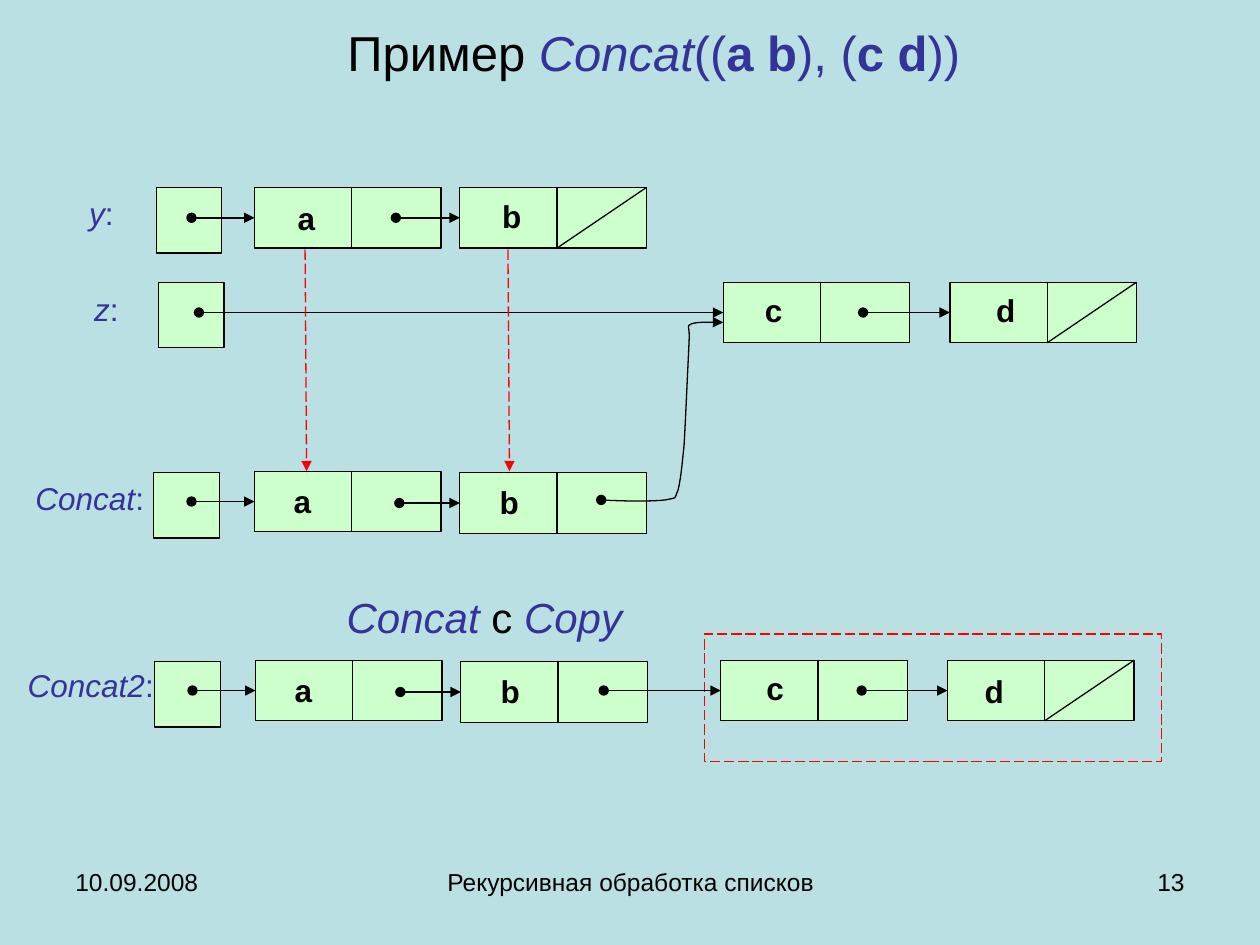
"""Builds the slide that explains Concat on linked lists."""
from lxml import etree
from pptx import Presentation
from pptx import util as u
from pptx.dml.color import RGBColor
from pptx.enum import dml, shapes, text
from pptx.oxml import ns

COLORS = {"sky": "BBE0E3", "mint": "CCFFCC", "indigo": "333399",
          "black": "000000", "red": "FF0000"}
FONT = "Arial"
BOX_SIDE = 1.32
CELL_WIDTH, CELL_HEIGHT, DIVIDER = 3.76, 1.22, 1.96
LEFT, CENTER, RIGHT = text.PP_ALIGN.LEFT, text.PP_ALIGN.CENTER, text.PP_ALIGN.RIGHT


def color(name):
    """Return a palette colour."""
    return RGBColor.from_string(COLORS[name])


def style_line(shape, name="black", width=0.75, dashed=False, head=None, tail=None):
    """Set colour, width, dash and arrowheads of an outline."""
    shape.line.color.rgb = color(name)
    shape.line.width = u.Pt(width)
    if dashed:
        shape.line.dash_style = dml.MSO_LINE.LONG_DASH
    for tag, kind in (("a:headEnd", head), ("a:tailEnd", tail)):
        if kind:
            etree.SubElement(shape.get_or_add_ln(), ns.qn(tag), type=kind)


def add_line(slide, start, end, **style):
    """Draw a straight line without a shadow."""
    line = slide.shapes.add_connector(
        shapes.MSO_CONNECTOR.STRAIGHT, *(u.Cm(v) for v in (*start, *end)))
    style_line(line, **style)
    etree.SubElement(line.element.spPr, ns.qn("a:effectLst"))
    return line


def add_rect(slide, x, y, width, height, fill="mint", **style):
    """Draw a filled rectangle."""
    rect = slide.shapes.add_shape(
        shapes.MSO_SHAPE.RECTANGLE, *(u.Cm(v) for v in (x, y, width, height)))
    rect.shadow.inherit = False
    rect.fill.solid()
    rect.fill.fore_color.rgb = color(fill)
    style_line(rect, **style)
    return rect


def fill_paragraph(paragraph, parts, size, align=CENTER):
    """Write (wording, colour, style letters) parts as runs."""
    paragraph.alignment = align
    for wording, name, style in parts:
        run = paragraph.add_run()
        run.text = wording
        run.font.name = FONT
        run.font.size = u.Pt(size)
        run.font.color.rgb = color(name)
        run.font.bold = "b" in style
        run.font.italic = "i" in style


def add_text(slide, x, y, width, height, parts, size=18, align=CENTER, tight=False):
    """Place a text box with one paragraph."""
    frame = slide.shapes.add_textbox(*(u.Cm(v) for v in (x, y, width, height))).text_frame
    frame.word_wrap = True
    if tight:
        frame.margin_left = frame.margin_right = u.Cm(0.05)
        frame.margin_top = frame.margin_bottom = u.Cm(0.03)
    fill_paragraph(frame.paragraphs[0], parts, size, align)


def add_label(slide, name, x, y, width, tight=False):
    """Name a list variable."""
    add_text(slide, x, y, width, 0.81 if tight else 1.02,
             [(name, "indigo", "i"), (":", "indigo", "")], tight=tight)


def add_cell(slide, x, y, letter, letter_x, letter_y, last=False):
    """Draw a list cell with its letter, crossed out when it is the last one."""
    cell = add_rect(slide, x, y, CELL_WIDTH, CELL_HEIGHT)
    middle = x + DIVIDER
    add_line(slide, (middle, y), (middle, y + CELL_HEIGHT))
    if last:
        add_line(slide, (x + CELL_WIDTH, y), (middle, y + CELL_HEIGHT))
    add_text(slide, x + letter_x, y + letter_y, 0.51, 0.81,
             [(letter, "black", "b")], tight=True)
    return cell


def add_pointer(slide, start_x, target):
    """Draw an arrow to the middle of the left side of a cell."""
    y = u.Emu(target.top + target.height // 2).cm
    arrow = add_line(slide, (start_x, y), (u.Emu(target.left).cm, y),
                     width=1, head="oval", tail="triangle")
    arrow.end_connect(target, 1)


def add_copied_pair(slide, x, y):
    """Draw a head box with the copied cells a and b."""
    add_rect(slide, x, y + 0.03, BOX_SIDE, BOX_SIDE)
    first = add_cell(slide, x + 2.03, y, "a", 0.71, 0.18)
    second = add_cell(slide, x + 6.17, y + 0.03, "b", 0.74, 0.17)
    add_pointer(slide, x + 0.76, first)
    add_pointer(slide, x + 4.95, second)


def add_curve(slide, start, segments, steps=8):
    """Draw an arrow along cubic curves."""
    points, origin = [], start
    for control_1, control_2, end in segments:
        for step in range(1, steps + 1):
            t = step / steps
            weights = ((1 - t) ** 3, 3 * t * (1 - t) ** 2, 3 * t ** 2 * (1 - t), t ** 3)
            corners = (origin, control_1, control_2, end)
            points.append(tuple(
                u.Cm(sum(w * p[axis] for w, p in zip(weights, corners)))
                for axis in (0, 1)))
        origin = end
    builder = slide.shapes.build_freeform(u.Cm(start[0]), u.Cm(start[1]))
    builder.add_line_segments(points, close=False)
    curve = builder.convert_to_shape()
    curve.shadow.inherit = False
    curve.fill.background()
    style_line(curve, head="oval", tail="triangle")


def add_title(slide):
    """Fill the title placeholder."""
    title = slide.shapes.title
    title.left, title.top, title.width, title.height = (
        u.Cm(v) for v in (1.75, 0.56, 22.86, 1.3))
    frame = title.text_frame
    frame.vertical_anchor = text.MSO_ANCHOR.TOP
    frame.auto_size = text.MSO_AUTO_SIZE.NONE
    frame.paragraphs[0].line_spacing = 0.8
    fill_paragraph(frame.paragraphs[0], [
        ("Пример ", "black", ""), ("Concat", "indigo", "i"), ("((", "indigo", ""),
        ("a b", "indigo", "b"), ("), (", "indigo", ""), ("c d", "indigo", "b"),
        ("))", "indigo", "")], 28)


def add_sources(slide):
    """Draw the lists y and z."""
    add_label(slide, "y", 1.22, 3.78, 1.65)
    add_rect(slide, 3.15, 3.78, BOX_SIDE, BOX_SIDE)
    add_pointer(slide, 3.86, add_cell(slide, 5.13, 3.78, "a", 0.79, 0.21))
    add_pointer(slide, 7.98, add_cell(slide, 9.27, 3.78, "b", 0.79, 0.16, last=True))
    add_label(slide, "z", 1.32, 5.72, 1.65)
    add_rect(slide, 3.2, 5.69, BOX_SIDE, BOX_SIDE)
    add_pointer(slide, 4.01, add_cell(slide, 14.58, 5.69, "c", 0.76, 0.15))
    add_pointer(slide, 17.4, add_cell(slide, 19.15, 5.69, "d", 0.87, 0.15, last=True))


def add_concat(slide):
    """Draw the result that shares the cells of z."""
    add_label(slide, "Concat", 0.36, 9.53, 2.9)
    add_copied_pair(slide, 3.1, 9.5)
    add_curve(slide, (12.12, 10.08), [
        ((12.65, 10.11), (13.16, 10.11), (13.41, 10.08)),
        ((13.67, 10.03), (13.59, 10.06), (13.67, 9.88)),
        ((13.72, 9.68), (13.74, 9.47), (13.79, 8.99)),
        ((13.82, 8.51), (13.87, 7.34), (13.89, 6.93)),
        ((13.92, 6.53), (13.82, 6.6), (13.94, 6.53)),
        ((14.05, 6.48), (14.48, 6.5), (14.58, 6.5))])
    for x in (6.15, 10.24):
        add_line(slide, (x, 5.03), (x + 0.03, 9.5), name="red", dashed=True, tail="triangle")


def add_concat_copy(slide):
    """Draw the result with every cell copied."""
    add_text(slide, 1.27, 11.79, 16.99, 1.27, [
        ("Concat ", "indigo", "i"), ("с ", "black", ""), ("Copy", "indigo", "i")], 24)
    add_label(slide, "Concat2", 0.38, 13.39, 2.9, tight=True)
    add_copied_pair(slide, 3.12, 13.31)
    add_pointer(slide, 12.17, add_cell(slide, 14.53, 13.31, "c", 0.84, 0.15))
    add_pointer(slide, 17.37, add_cell(slide, 19.1, 13.31, "d", 0.69, 0.2, last=True))


def add_footer(slide):
    """Write date, subject and slide number."""
    for x, width, wording, align in (
            (1.27, 5.92, "10.09.2008", LEFT),
            (8.69, 8.05, "Рекурсивная обработка списков", CENTER),
            (18.21, 5.92, "13", RIGHT)):
        add_text(slide, x, 17.35, width, 1.32, [(wording, "black", "")], 14, align)


def main():
    """Build and save the presentation."""
    deck = Presentation()
    deck.slide_width, deck.slide_height = u.Cm(25.4), u.Cm(19.05)
    slide = deck.slides.add_slide(deck.slide_layouts[5])
    slide.background.fill.solid()
    slide.background.fill.fore_color.rgb = color("sky")
    add_title(slide)
    add_rect(slide, 14.2, 12.78, 9.22, 2.57, fill="sky", name="red", dashed=True)
    add_sources(slide)
    add_concat(slide)
    add_concat_copy(slide)
    add_footer(slide)
    deck.save("out.pptx")


if __name__ == "__main__":
    main()
